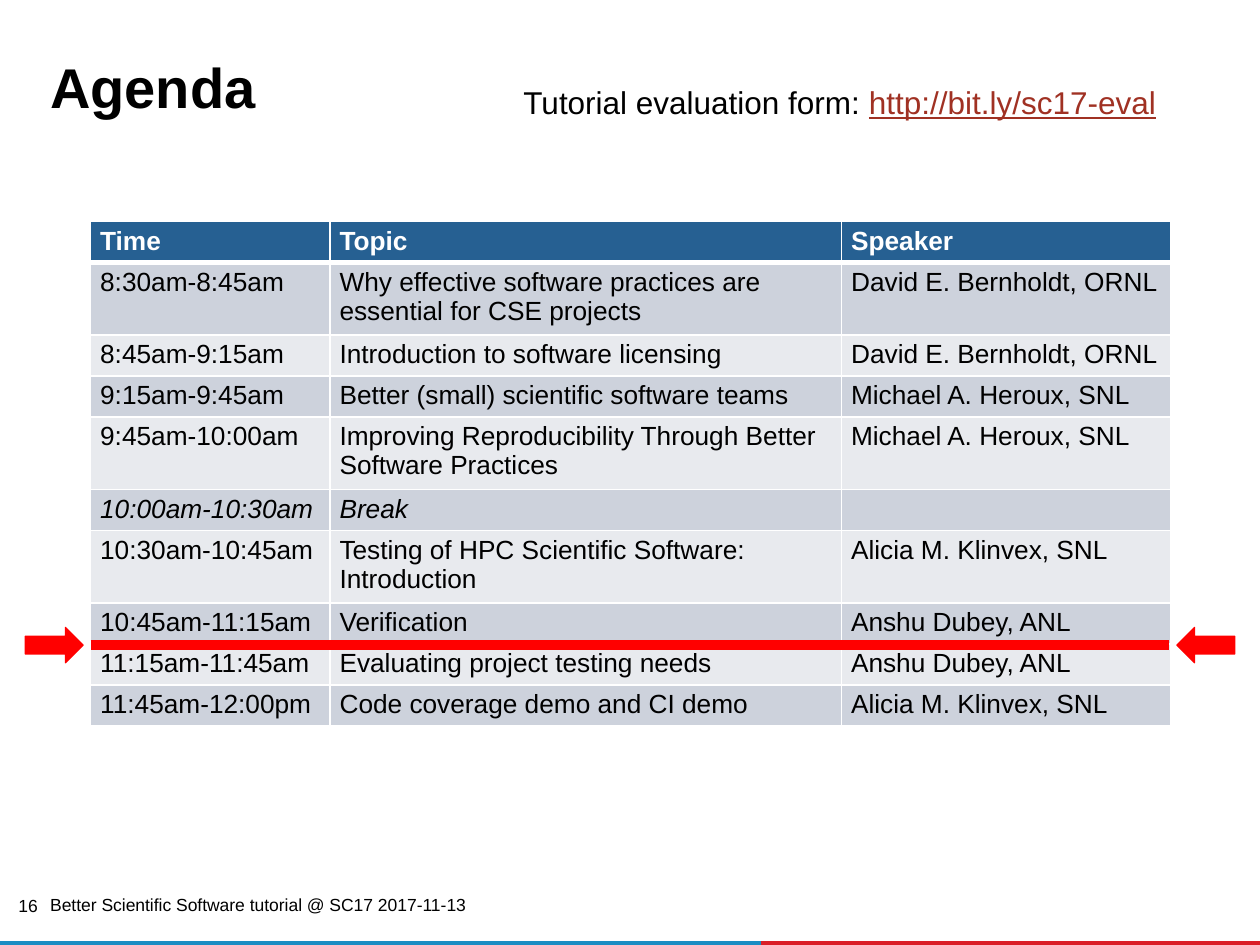
from pptx import Presentation
from pptx.dml.color import RGBColor
from pptx.enum.shapes import MSO_CONNECTOR, MSO_SHAPE
from pptx.enum.text import MSO_ANCHOR, PP_ALIGN
from pptx.oxml.ns import qn
from pptx.util import Inches, Pt
from lxml import etree

STRAIGHT = MSO_CONNECTOR.STRAIGHT
RECTANGLE, RIGHT_ARROW = MSO_SHAPE.RECTANGLE, MSO_SHAPE.RIGHT_ARROW
TOP, MIDDLE = MSO_ANCHOR.TOP, MSO_ANCHOR.MIDDLE
LEFT, CENTER, RIGHT = PP_ALIGN.LEFT, PP_ALIGN.CENTER, PP_ALIGN.RIGHT

# Content
TITLE = "Agenda"
FOOTER = "Better Scientific Software tutorial @ SC17 2017-11-13"
PAGE_NUMBER = "16"
EVALUATION = [("Tutorial evaluation form: ", {}),
              ("http://bit.ly/sc17-eval", {"color": "A03123", "underline": True})]
AGENDA = [
    ("Time", "Topic", "Speaker"),
    ("8:30am-8:45am", "Why effective software practices are essential for CSE projects",
     "David E. Bernholdt, ORNL"),
    ("8:45am-9:15am", "Introduction to software licensing", "David E. Bernholdt, ORNL"),
    ("9:15am-9:45am", "Better (small) scientific software teams", "Michael A. Heroux, SNL"),
    ("9:45am-10:00am", "Improving Reproducibility Through Better Software Practices",
     "Michael A. Heroux, SNL"),
    ("10:00am-10:30am", "Break", ""),
    ("10:30am-10:45am", "Testing of HPC Scientific Software: Introduction",
     "Alicia M. Klinvex, SNL"),
    ("10:45am-11:15am", "Verification", "Anshu Dubey, ANL"),
    ("11:15am-11:45am", "Evaluating project testing needs", "Anshu Dubey, ANL"),
    ("11:45am-12:00pm", "Code coverage demo and CI demo", "Alicia M. Klinvex, SNL"),
]
COLUMN_WIDTHS = (1.9, 4.06, 2.61)
ROW_HEIGHT, TALL_ROW_HEIGHT = 0.32, 0.57
TALL_ROWS = (1, 4, 6)
BREAK_ROW = 5
HEADER_FILL, BAND_FILLS = "266092", ("E8EAEE", "CDD2DC")
BLACK, WHITE, RED = "000000", "FFFFFF", "FF0000"


def rgb(value):
    return RGBColor.from_string(value)


def write(paragraph, text, size=15, color=BLACK, bold=False, italic=False, underline=False):
    if not text:
        # An empty paragraph takes its line height from its end mark
        etree.SubElement(paragraph._p, qn("a:endParaRPr"), sz=str(size * 100))
        return
    span = paragraph.add_run()
    span.text = text
    font = span.font
    font.name, font.size = "Arial", Pt(size)
    font.bold, font.italic, font.underline = bold, italic, underline
    font.color.rgb = rgb(color)


def add_text(page, spans, area, anchor=TOP, align=LEFT, spacing=1.0, wrap=True,
             margin=None, **style):
    box = page.shapes.add_textbox(*map(Inches, area))
    frame = box.text_frame
    frame.word_wrap, frame.vertical_anchor = wrap, anchor
    if margin is not None:
        frame.margin_left = frame.margin_right = Inches(margin)
        frame.margin_top = frame.margin_bottom = Inches(margin)
    para = frame.paragraphs[0]
    para.alignment, para.line_spacing = align, spacing
    for text, changes in spans:
        write(para, text, **{**style, **changes})


def add_filled(page, kind, area, color, line_width=None, rotation=0):
    shape = page.shapes.add_shape(kind, *map(Inches, area))
    shape.shadow.inherit = False
    shape.rotation = rotation
    shape.fill.solid()
    shape.fill.fore_color.rgb = rgb(color)
    if line_width is None:
        shape.line.fill.background()
    else:
        shape.line.color.rgb = rgb(color)
        shape.line.width = Pt(line_width)


def set_borders(cell, top, bottom):
    properties = cell._tc.get_or_add_tcPr()
    for side, width in (("lnL", 1), ("lnR", 1), ("lnT", top), ("lnB", bottom)):
        border = etree.SubElement(properties, qn(f"a:{side}"), w=str(Pt(width)))
        fill = etree.SubElement(border, qn("a:solidFill"))
        etree.SubElement(fill, qn("a:srgbClr"), val=WHITE)


def add_agenda(page, left, top):
    heights = [TALL_ROW_HEIGHT if row in TALL_ROWS else ROW_HEIGHT
               for row in range(len(AGENDA))]
    area = (left, top, sum(COLUMN_WIDTHS), sum(heights))
    table = page.shapes.add_table(len(AGENDA), len(COLUMN_WIDTHS),
                                  *map(Inches, area)).table
    for column, width in zip(table.columns, COLUMN_WIDTHS):
        column.width = Inches(width)
    for row, (height, entries) in enumerate(zip(heights, AGENDA)):
        table.rows[row].height = Inches(height)
        header = row == 0
        for column, text in enumerate(entries):
            cell = table.cell(row, column)
            cell.margin_left = cell.margin_right = Pt(5.4)
            cell.margin_top = cell.margin_bottom = Pt(2.7)
            set_borders(cell, top=3 if row == 1 else 1, bottom=3 if header else 1)
            cell.fill.solid()
            cell.fill.fore_color.rgb = rgb(HEADER_FILL if header else BAND_FILLS[row % 2])
            write(cell.text_frame.paragraphs[0], text, bold=header,
                  color=WHITE if header else BLACK, italic=row == BREAK_ROW)


def add_marker(page, left, right, y):
    line = page.shapes.add_connector(STRAIGHT, *map(Inches, (left, y, right, y)))
    line.line.color.rgb = rgb(RED)
    line.line.width = Pt(6)
    etree.SubElement(line._element.spPr, qn("a:effectLst"))
    width, height, gap = 0.46, 0.28, 0.06
    for x, rotation in ((left - gap - width, 0), (right + gap, 180)):
        add_filled(page, RIGHT_ARROW, (x, y - height / 2, width, height), RED, 0.75, rotation)


def main():
    deck = Presentation()
    deck.slide_width, deck.slide_height = Inches(10), Inches(7.5)
    page = deck.slides.add_slide(deck.slide_layouts[6])

    # Footer
    add_filled(page, RECTANGLE, (6.04, 7.47, 3.96, 0.03), "DA1F28")
    add_filled(page, RECTANGLE, (0, 7.47, 6.04, 0.03), "1B8DC3")
    add_text(page, [(FOOTER, {})], (0.3, 7.07, 3.52, 0.21), anchor=MIDDLE, size=10)
    add_text(page, [(PAGE_NUMBER, {})], (0.13, 7.12, 0.17, 0.17), align=RIGHT,
             spacing=0.9, wrap=False, margin=0, size=10)

    # Heading
    add_text(page, [(TITLE, {})], (0.3, 0.45, 9.33, 0.56), spacing=0.85, size=32, bold=True)

    # Agenda with the current position marked
    add_agenda(page, 0.72, 1.76)
    add_marker(page, 0.72, 9.28, 5.12)

    # Evaluation form
    add_text(page, EVALUATION, (4.03, 0.46, 5.27, 0.5), align=CENTER, spacing=1.5,
             wrap=False, size=18)

    deck.save("out.pptx")


if __name__ == "__main__":
    main()
